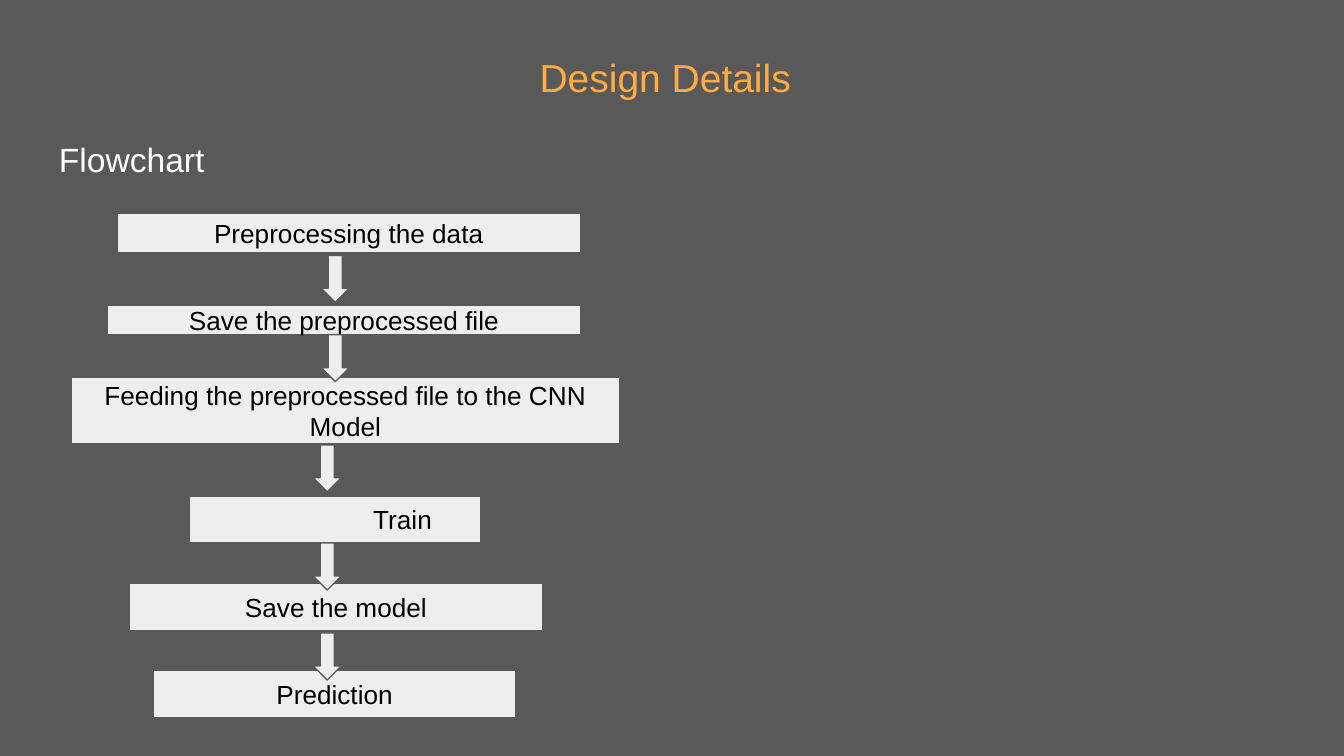
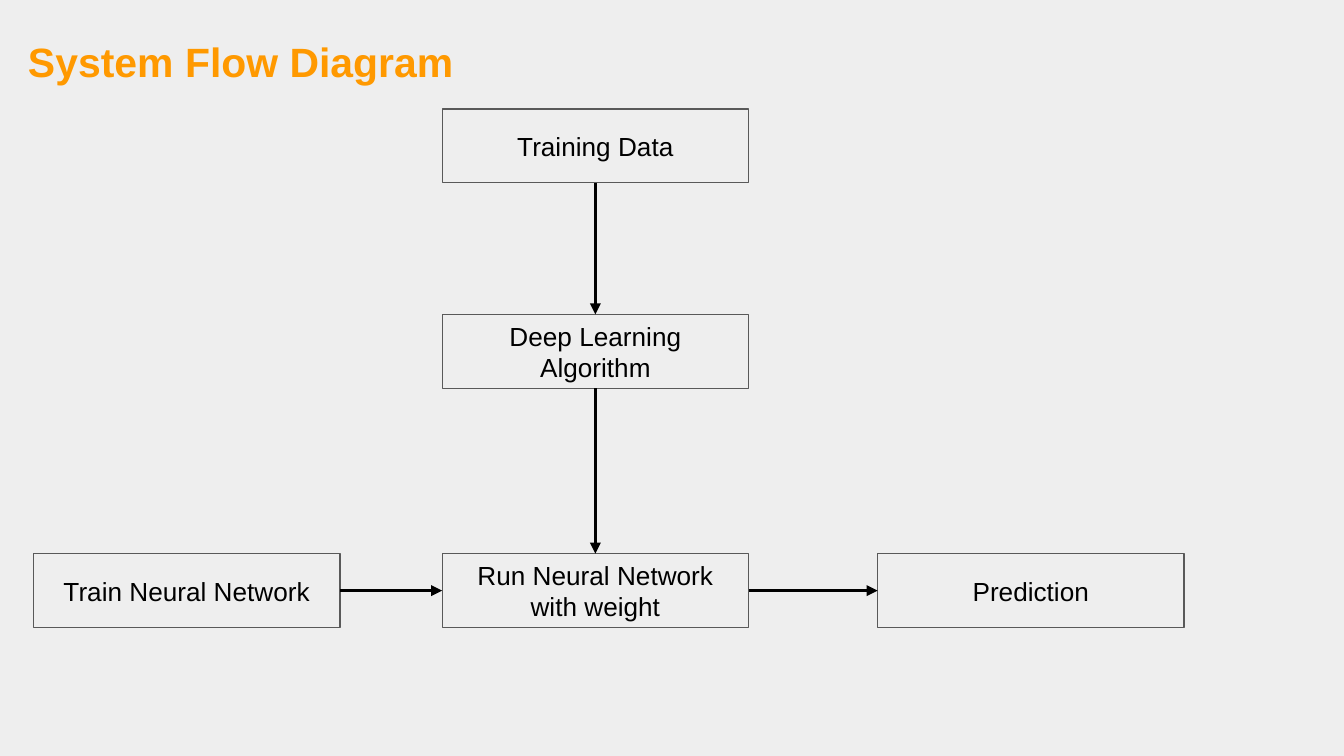
from itertools import pairwise
from typing import NamedTuple

from pptx import Presentation
from pptx.dml.color import RGBColor
from pptx.enum.shapes import MSO_CONNECTOR, MSO_SHAPE
from pptx.enum.text import MSO_ANCHOR as Anchor, PP_ALIGN as Align
from pptx.oxml.ns import qn
from pptx.util import Inches, Length, Pt
from lxml.etree import SubElement

GREY = RGBColor(0x59, 0x59, 0x59)
PALE = RGBColor(0xEE, 0xEE, 0xEE)
BLACK = RGBColor(0, 0, 0)
WHITE = RGBColor(0xFF, 0xFF, 0xFF)
AMBER = RGBColor(0xFF, 0xAB, 0x40)
ORANGE = RGBColor(0xFF, 0x99, 0x00)

FONT = "Arial"
LABEL_SIZE = 14
COLUMNS, ROWS = 100, 56.25  # square cells, a tenth of an inch each
INSET = 1
TOP, LEFT, BOTTOM, RIGHT = range(4)


class Area(NamedTuple):
    """Place and size in grid columns and rows."""
    column: float
    row: float
    width: float
    height: float


class TextStyle(NamedTuple):
    size: float
    colour: RGBColor
    align: Align = Align.LEFT
    anchor: Anchor = Anchor.TOP
    bold: bool = False


class Step(NamedTuple):
    label: str
    area: Area
    indent: float = 0


class Link(NamedTuple):
    start: str
    start_side: int
    end: str
    end_side: int


LABEL = TextStyle(LABEL_SIZE, BLACK, Align.CENTER, Anchor.MIDDLE)
HEADING = TextStyle(18, WHITE)
CENTRED_TITLE = TextStyle(20.9, AMBER, Align.CENTER, Anchor.BOTTOM)
LEFT_TITLE = TextStyle(21.9, ORANGE, anchor=Anchor.BOTTOM, bold=True)

STEPS = [
    Step("Preprocessing the data", Area(8.7, 15.9, 34.5, 2.9)),
    Step("Save the preprocessed file", Area(8, 22.7, 35.2, 2.2)),
    Step("Feeding the preprocessed file to the CNN Model", Area(5.3, 28.1, 40.8, 4.9)),
    Step("Train", Area(14.1, 36.9, 21.7, 3.5), indent=10),
    Step("Save the model", Area(9.6, 43.4, 30.8, 3.5)),
    Step("Prediction", Area(11.4, 49.9, 27, 3.5)),
]
ARROW_SIZE = (2.1, 3.5)
ARROW_CORNERS = [(23.9, 19), (23.9, 24.9), (23.3, 33.1), (23.3, 40.4), (23.3, 47.1)]

NODE_SIZE = (22.8, 5.5)
NODE_COLUMNS = (2.5, 32.9, 65.3)
NODE_ROWS = (8.1, 23.4, 41.2)
DOWNWARD = ["Training Data", "Deep Learning Algorithm", "Run Neural Network with weight"]
ACROSS = ["Train Neural Network", DOWNWARD[-1], "Prediction"]


def cells(count: float) -> Length:
    return Inches(count * 10 / COLUMNS)


def place(area: Area) -> list[Length]:
    return [cells(value) for value in area]


def write(shape, text: str, style: TextStyle, indent: float = 0) -> None:
    frame = shape.text_frame
    frame.word_wrap = True
    frame.vertical_anchor = style.anchor
    frame.margin_left = cells(INSET + indent)
    frame.margin_top = frame.margin_right = frame.margin_bottom = cells(INSET)
    para = frame.paragraphs[0]
    para.text = text
    para.alignment = style.align
    font = para.font
    font.name, font.size, font.bold = FONT, Pt(style.size), style.bold
    font.color.rgb = style.colour


def add_text(page, text: str, area: Area, style: TextStyle) -> None:
    write(page.shapes.add_textbox(*place(area)), text, style)


def add_block(page, kind: MSO_SHAPE, area: Area):
    """Add a pale shape with a thin grey outline."""
    block = page.shapes.add_shape(kind, *place(area))
    block.shadow.inherit = False
    block.fill.solid()
    block.fill.fore_color.rgb = PALE
    block.line.color.rgb = GREY
    block.line.width = Pt(0.75)
    return block


def add_step(page, step: Step):
    box = add_block(page, MSO_SHAPE.RECTANGLE, step.area)
    write(box, step.label, LABEL, step.indent)
    return box


def add_link(page, boxes: dict, link: Link) -> None:
    line = page.shapes.add_connector(MSO_CONNECTOR.STRAIGHT, 0, 0, 0, 0)
    line.begin_connect(boxes[link.start], link.start_side)
    line.end_connect(boxes[link.end], link.end_side)
    line.line.color.rgb = BLACK
    line.line.width = Pt(1.5)
    SubElement(line.line._get_or_add_ln(), qn("a:tailEnd"), type="triangle")
    SubElement(line._element.spPr, qn("a:effectLst"))


def add_page(deck, background: RGBColor, title: str, area: Area, style: TextStyle):
    page = deck.slides.add_slide(deck.slide_layouts[6])
    page.background.fill.solid()
    page.background.fill.fore_color.rgb = background
    add_text(page, title, area, style)
    return page


def build_design_details(deck) -> None:
    page = add_page(deck, GREY, "Design Details", Area(2.9, 2.1, 93.2, 6.4), CENTRED_TITLE)
    add_text(page, "Flowchart", Area(3.4, 9.3, 93.2, 44.8), HEADING)
    for step in STEPS:
        add_step(page, step)
    for corner in ARROW_CORNERS:
        add_block(page, MSO_SHAPE.DOWN_ARROW, Area(*corner, *ARROW_SIZE))


def build_system_flow(deck) -> None:
    page = add_page(deck, PALE, "System Flow Diagram", Area(1.1, 1.5, 88.8, 5.9), LEFT_TITLE)
    corners = {label: (NODE_COLUMNS[1], row) for label, row in zip(DOWNWARD, NODE_ROWS)}
    corners |= {label: (column, NODE_ROWS[-1]) for label, column in zip(ACROSS, NODE_COLUMNS)}
    boxes = {
        label: add_step(page, Step(label, Area(*corner, *NODE_SIZE)))
        for label, corner in corners.items()
    }
    links = [Link(start, BOTTOM, end, TOP) for start, end in pairwise(DOWNWARD)]
    links += [Link(start, RIGHT, end, LEFT) for start, end in pairwise(ACROSS)]
    for link in links:
        add_link(page, boxes, link)


def main() -> None:
    deck = Presentation()
    deck.slide_width, deck.slide_height = cells(COLUMNS), cells(ROWS)
    build_design_details(deck)
    build_system_flow(deck)
    deck.save("out.pptx")


if __name__ == "__main__":
    main()
